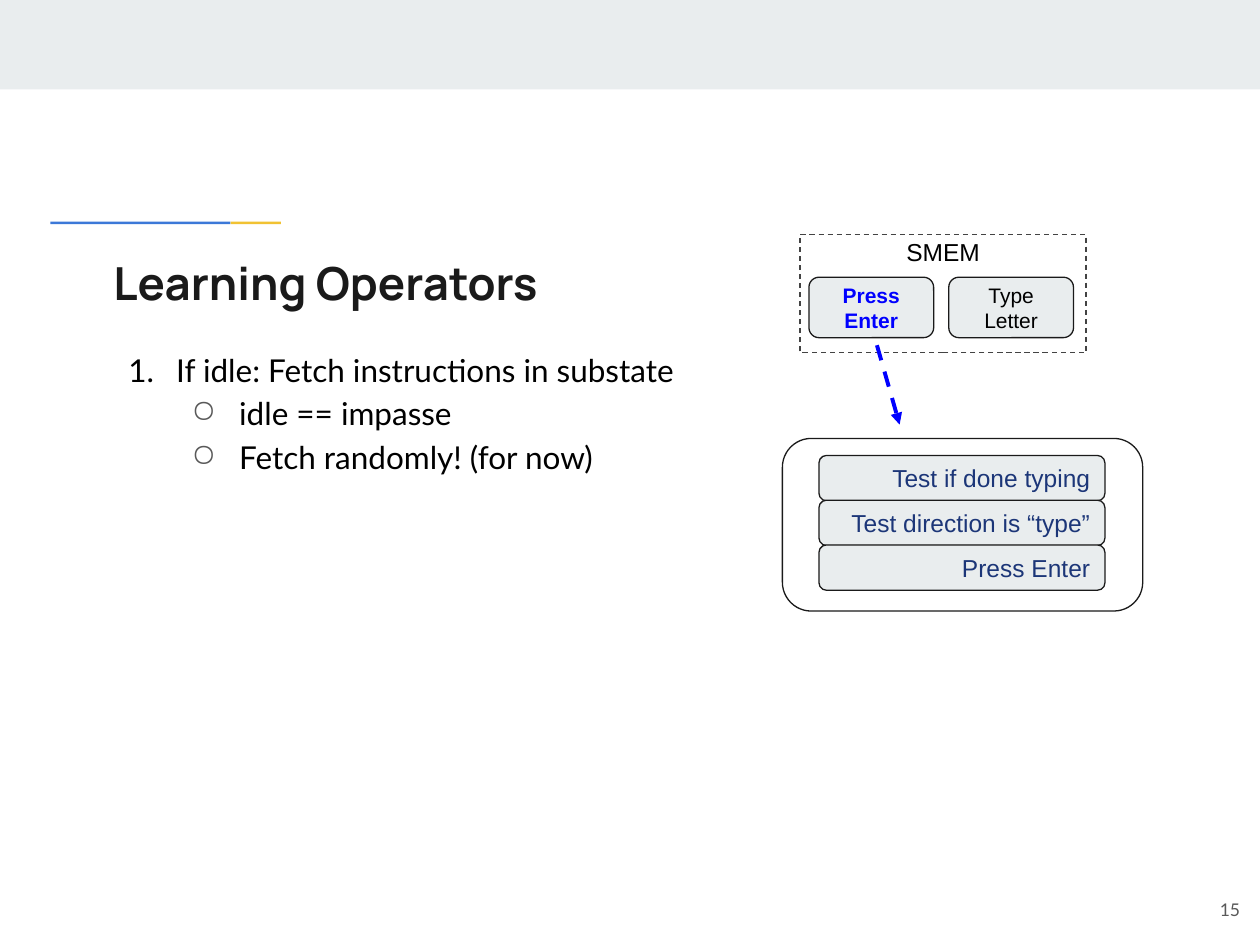
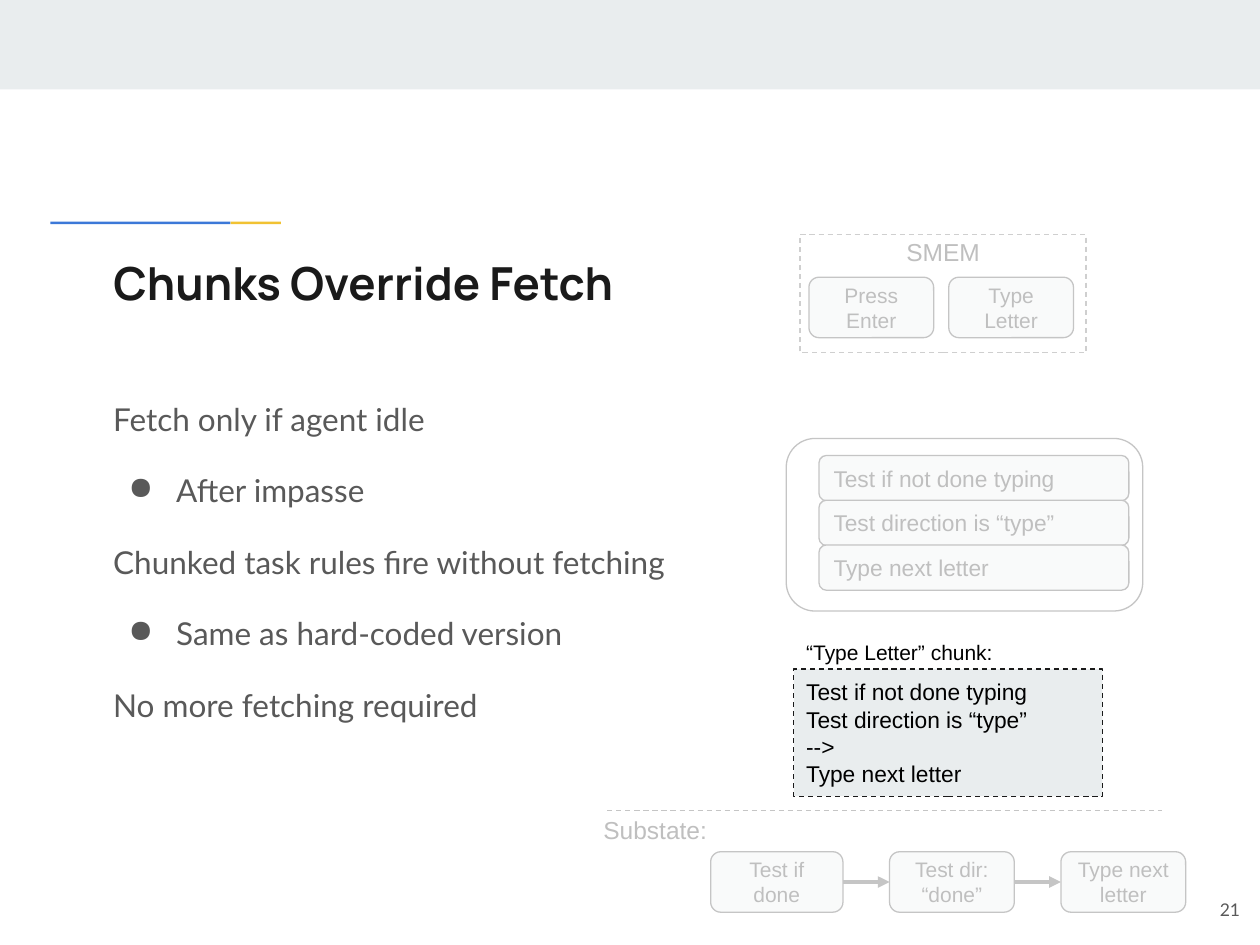
from lxml import etree
from pptx import Presentation
from pptx.dml.color import RGBColor
from pptx.enum.dml import MSO_LINE
from pptx.enum.shapes import MSO_CONNECTOR, MSO_SHAPE
from pptx.enum.text import MSO_ANCHOR, MSO_AUTO_SIZE, PP_ALIGN
from pptx.oxml.ns import qn
from pptx.util import Inches, Pt

RECT, ROUND = MSO_SHAPE.RECTANGLE, MSO_SHAPE.ROUNDED_RECTANGLE
STRAIGHT, DASH = MSO_CONNECTOR.STRAIGHT, MSO_LINE.DASH
LEFT, MID, RIGHT = PP_ALIGN.LEFT, PP_ALIGN.CENTER, PP_ALIGN.RIGHT
TOP, MIDDLE = MSO_ANCHOR.TOP, MSO_ANCHOR.MIDDLE

WHITE = RGBColor(0xFF, 0xFF, 0xFF)
BLACK = RGBColor(0, 0, 0)
INK = RGBColor(0x1A, 0x1A, 0x1A)
PALE = RGBColor(0xE9, 0xED, 0xEE)
GRAY = RGBColor(0x59, 0x59, 0x59)
SLATE = RGBColor(0x43, 0x43, 0x43)
BLUE = RGBColor(0x3C, 0x78, 0xD8)
GOLD = RGBColor(0xF1, 0xC2, 0x32)
NAVY = RGBColor(0x1C, 0x36, 0x78)
VIVID = RGBColor(0, 0, 0xFF)

PLAIN = dict(name="Arial", size=Pt(12), color=BLACK)
ROW = dict(PLAIN, size=Pt(13))
HEAD = dict(PLAIN, size=Pt(14))
TITLE = dict(name="Manrope", size=Pt(26), bold=True, color=INK)
BODY = dict(name="Lato", size=Pt(18), color=GRAY)
FOOT = dict(BODY, size=Pt(10))
SUB = 1, "○"
DOT = 0, "●"


def sub(node, tag, **attrs):
    return etree.SubElement(node, qn(tag), attrs)


def set_font(para, look):
    for key, value in look.items():
        if key == "color":
            para.font.color.rgb = value
        else:
            setattr(para.font, key, value)


def write(shape, lines, look, align=LEFT, anchor=MIDDLE):
    """Fill a shape with one paragraph per line and return the paragraphs."""
    frame = shape.text_frame
    form = dict(word_wrap=True, auto_size=MSO_AUTO_SIZE.NONE, vertical_anchor=anchor)
    form.update({f"margin_{side}": Inches(0.1)
                 for side in ("left", "right", "top", "bottom")})
    for key, value in form.items():
        setattr(frame, key, value)
    frame.text = "\n".join(lines)
    for para in frame.paragraphs:
        para.alignment = align
        set_font(para, look)
    return frame.paragraphs


def add_box(slide, box, fill=PALE, line=INK, kind=ROUND, dash=None):
    shape = slide.shapes.add_shape(kind, *map(Inches, box))
    shape.shadow.inherit = False
    if fill is None:
        shape.fill.background()
    else:
        shape.fill.solid()
        shape.fill.fore_color.rgb = fill
    if line is None:
        shape.line.fill.background()
    else:
        shape.line.color.rgb = line
        shape.line.width = Pt(0.75)
        shape.line.dash_style = dash
    return shape


def add_text(slide, box, lines, look, align=LEFT, anchor=TOP):
    return write(slide.shapes.add_textbox(*map(Inches, box)),
                 lines, look, align, anchor)


def add_line(slide, ends, color=INK, width=2.25, dash=None, arrow=True):
    line = slide.shapes.add_connector(STRAIGHT, *map(Inches, ends))
    line.line.color.rgb = color
    line.line.width = Pt(width)
    line.line.dash_style = dash
    if arrow:
        sub(line.line._get_or_add_ln(), "a:tailEnd", type="triangle")
    sub(line._element.spPr, "a:effectLst")
    return line


def add_veil(slide, box):
    """Fade what lies beneath with a mostly opaque white sheet."""
    veil = add_box(slide, box, WHITE, None, RECT)
    color = veil._element.spPr.find(qn("a:solidFill"))[0]
    sub(color, "a:alpha", val="75000")


def add_list(slide, box, items, look, mark, gap=0):
    """Write (text, bullet) items, where a bullet is a level and a sign."""
    paras = add_text(slide, box, [text for text, _ in items], look)
    for i, (para, (_, bullet)) in enumerate(zip(paras, items)):
        if bullet:
            level, sign = bullet
            props = para._p.get_or_add_pPr()
            props.set("marL", str(Inches(0.5 * (level + 1))))
            props.set("indent", str(Inches(-0.38)))
            para.level = level
            tint = BLACK if sign == "1." else mark
            hue = etree.Element(qn("a:buClr"))
            sub(hue, "a:srgbClr", val=str(tint))
            if sign == "1.":
                glyph = etree.Element(qn("a:buAutoNum"), type="arabicPeriod")
            else:
                glyph = etree.Element(qn("a:buChar"), char=sign)
            spot = props.find(qn("a:defRPr"))
            for node in (hue, glyph):
                spot.addprevious(node)
        para.line_spacing = 1.15
        if i:
            para.space_before = Pt(gap)


def add_base(deck, title, width, number):
    """Start a slide with its band, accent rule, title and number."""
    slide = deck.slides.add_slide(deck.slide_layouts[5])
    add_box(slide, (0, 0, 10, 0.71), PALE, None, RECT)
    add_box(slide, (0.4, 1.76, 1.43, 0.02), BLUE, None, RECT)
    add_box(slide, (1.83, 1.76, 0.4, 0.02), GOLD, None, RECT)
    head = slide.shapes.title
    place = dict(left=0.8, top=1.92, width=width, height=0.78)
    for key, value in place.items():
        setattr(head, key, Inches(value))
    write(head, [title], TITLE, anchor=TOP)
    add_text(slide, (9.34, 6.93, 0.6, 0.57), [number], FOOT, RIGHT, MIDDLE)
    return slide


def add_smem(slide, x, y, press=PLAIN):
    add_box(slide, (x, y, 2.27, 0.94), WHITE, SLATE, RECT, DASH)
    add_text(slide, (x + 0.66, y - 0.08, 0.95, 0.35), ["SMEM"], HEAD, MID)
    for i, (text, look) in enumerate((("Press Enter", press), ("Type Letter", PLAIN))):
        card = add_box(slide, (x + 0.07 + 1.11 * i, y + 0.34, 0.99, 0.48))
        write(card, [text], look, MID)


def add_stack(slide, box, rows, inset, width, look, align):
    """Draw an outer frame with touching rows inside."""
    x, y = box[:2]
    add_box(slide, box, None)
    for i, text in enumerate(rows):
        row = add_box(slide, (x + inset, y + 0.135 + 0.355 * i, width, 0.36))
        write(row, [text], look, align)


def add_chunk(slide, x, y, lines):
    card = add_box(slide, (x, y + 0.27, 2.45, 1.01), kind=RECT, dash=DASH)
    write(card, lines, ROW)
    add_text(slide, (x, y, 2.1, 0.27), ["“Type Letter” chunk:"], PLAIN,
             anchor=MIDDLE)


def add_chain(slide, x, y):
    """Draw the substate: a dashed rule, a label and linked steps."""
    add_line(slide, (x + 0.2, y + 0.04, x + 4.6, y + 0.04), width=0.75,
             dash=DASH, arrow=False)
    add_text(slide, (x + 0.07, y - 0.02, 1.33, 0.48), ["Substate:"], HEAD)
    steps = (("Test if done", 1.02, 1.05), ("Test dir: “done”", 2.44, 0.99),
             ("Type next letter", 3.8, 0.99))
    last = None
    for text, dx, width in steps:
        step = add_box(slide, (x + dx, y + 0.37, width, 0.48))
        write(step, [text], PLAIN, MID)
        if last:
            link = add_line(slide, (0, 0, 1, 1))
            link.begin_connect(last, 3)
            link.end_connect(step, 1)
        last = step


def add_learn(deck):
    slide = add_base(deck, "Learning Operators", 5.04, "15")
    items = (("If idle: Fetch instructions in substate", (0, "1.")),
             ("idle == impasse", SUB), ("Fetch randomly! (for now)", SUB))
    add_list(slide, (0.8, 2.64, 4.81, 2.64), items, dict(BODY, color=BLACK), GRAY)
    add_smem(slide, 6.35, 1.86, dict(PLAIN, bold=True, color=VIVID))
    rows = "Test if done typing", "Test direction is “type”", "Press Enter"
    add_stack(slide, (6.21, 3.48, 2.86, 1.37), rows, 0.29, 2.27,
              dict(HEAD, color=NAVY), RIGHT)
    add_line(slide, (6.96, 2.74, 7.14, 3.37), VIVID, dash=DASH)


def add_override(deck):
    slide = add_base(deck, "Chunks Override Fetch", 8.41, "21")
    add_smem(slide, 6.35, 1.86)
    tests = ["Test if not done typing", "Test direction is “type”"]
    act = ["Type next letter"]
    add_stack(slide, (6.24, 3.48, 2.83, 1.37), tests + act, 0.26, 2.46, ROW, LEFT)
    add_veil(slide, (5.94, 1.79, 3.42, 3.18))
    items = (("Fetch only if agent idle", None), ("After impasse", DOT),
             ("Chunked task rules fire without fetching", None),
             ("Same as hard-coded version", DOT),
             ("No more fetching required", None))
    add_list(slide, (0.8, 3.03, 4.91, 3.3), items, BODY, GRAY, 16)
    add_chain(slide, 4.62, 6.39)
    add_chunk(slide, 6.3, 5.04, tests + ["-->"] + act)
    add_veil(slide, (4.62, 6.39, 4.86, 0.95))


def main():
    deck = Presentation()
    deck.slide_width, deck.slide_height = Inches(10), Inches(7.5)
    add_learn(deck)
    add_override(deck)
    deck.save("out.pptx")


if __name__ == "__main__":
    main()
